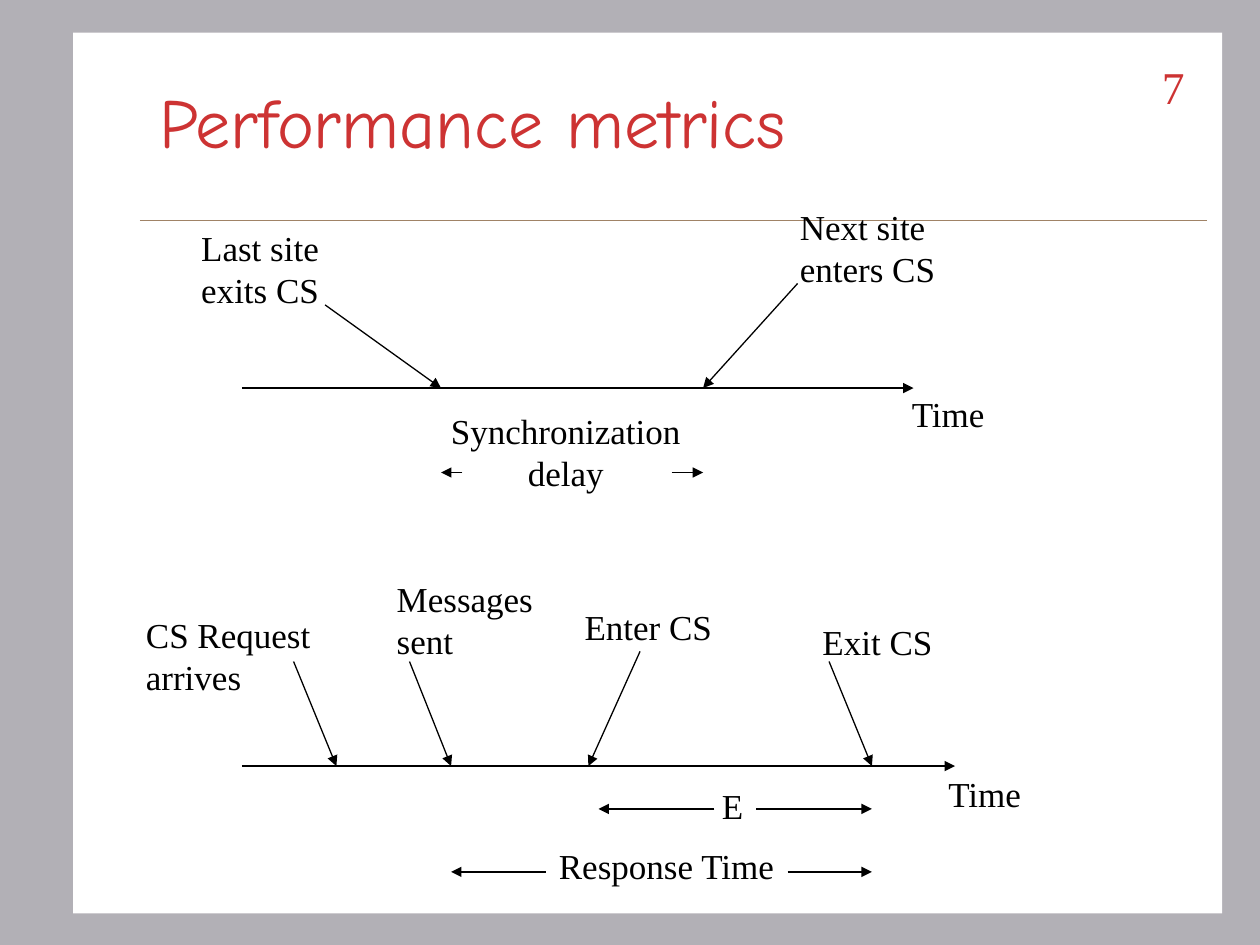
from lxml import etree
from pptx import Presentation
from pptx.dml.color import RGBColor
from pptx.enum.shapes import MSO_CONNECTOR, MSO_SHAPE
from pptx.enum.text import MSO_ANCHOR, MSO_AUTO_SIZE, PP_ALIGN
from pptx.oxml.ns import qn
from pptx.util import Inches, Pt

LEFT, CENTER, RIGHT = PP_ALIGN.LEFT, PP_ALIGN.CENTER, PP_ALIGN.RIGHT
TOP, MIDDLE = MSO_ANCHOR.TOP, MSO_ANCHOR.MIDDLE
FIT, NO_FIT = MSO_AUTO_SIZE.SHAPE_TO_FIT_TEXT, MSO_AUTO_SIZE.NONE
STRAIGHT = MSO_CONNECTOR.STRAIGHT
RECTANGLE = MSO_SHAPE.RECTANGLE

GREY = RGBColor(0xB2, 0xB0, 0xB6)
WHITE = RGBColor(0xFF, 0xFF, 0xFF)
BLACK = RGBColor(0, 0, 0)
RED = RGBColor(0xCD, 0x33, 0x33)
TAN = RGBColor(0xA0, 0x83, 0x66)

SERIF = "Times New Roman"
HAND = "Comic Neue"


def add_text(s, text, box, size=20, font=SERIF, color=BLACK, align=CENTER,
             anchor=MIDDLE, wrap=False, fit=FIT, before=0):
    tf = s.shapes.add_textbox(*map(Inches, box)).text_frame
    tf.word_wrap = wrap
    tf.auto_size = fit
    tf.vertical_anchor = anchor
    tf.margin_left = Inches(0.08 if align == CENTER else 0.1)
    tf.margin_right = Inches(0.1 if align == RIGHT else 0.08)
    for i, line in enumerate(text.split("\n")):
        p = tf.add_paragraph() if i else tf.paragraphs[0]
        p.alignment = align
        p.space_before = Pt(before)
        r = p.add_run()
        r.text = line
        r.font.size = Pt(size)
        r.font.name = font
        r.font.color.rgb = color


def add_line(s, start, end, color=BLACK, width=0.75, arrow=True):
    sp = s.shapes.add_connector(STRAIGHT, *map(Inches, (*start, *end)))
    sp.line.color.rgb = color
    sp.line.width = Pt(width)
    if arrow:
        etree.SubElement(sp.line._get_or_add_ln(), qn("a:tailEnd"), type="triangle")
    etree.SubElement(sp._element.spPr, qn("a:effectLst"))


def add_frame(s, box):
    x, y, w, h = box
    s.background.fill.solid()
    s.background.fill.fore_color.rgb = GREY
    sp = s.shapes.add_shape(RECTANGLE, *map(Inches, box))
    sp.shadow.inherit = False
    sp.fill.solid()
    sp.fill.fore_color.rgb = WHITE
    sp.line.fill.background()
    rule = y + 1.49
    add_line(s, (x + 0.53, rule), (x + w - 0.12, rule), TAN, 0.25, arrow=False)


def add_header(s, box, title, number):
    x, y, w, h = box
    add_text(s, title, box, size=40, font=HAND, color=RED, align=LEFT,
             wrap=True, fit=NO_FIT)
    add_text(s, number, (x + w - 1, y + 0.09, 0.83, 0.5), size=26, color=RED,
             align=RIGHT, anchor=TOP, wrap=True, fit=NO_FIT, before=16.2)


def add_timeline(s, box, axis, time_label, events, spans):
    x, y, w, h = box
    start, end, level = axis
    add_line(s, (x + start, y + level), (x + end, y + level))
    left, top = time_label
    add_text(s, "Time", (x + left, y + top, 0.79, 0.44))
    for text, (left, top, width, height), align, (px, py), moment in events:
        add_text(s, text, (x + left, y + top, width, height), align=align)
        add_line(s, (x + px, y + py), (x + moment, y + level))
    for text, (left, top, width, height), row, ends, gap in spans:
        add_text(s, text, (x + left, y + top, width, height))
        for inner, outer in zip(gap, ends):
            add_line(s, (x + inner, y + row), (x + outer, y + row))


def main():
    prs = Presentation()
    prs.slide_width, prs.slide_height = Inches(10), Inches(7.5)
    s = prs.slides.add_slide(prs.slide_layouts[6])

    add_frame(s, (0.58, 0.26, 9.12, 6.99))
    add_header(s, (1.17, 0.33, 8.5, 1.25), "Performance metrics", "7")

    last_exit, next_entry = 2, 4.08
    add_timeline(
        s, (1.5, 1.58, 6.42, 2.39), (0.42, 5.75, 1.5), (5.63, 1.48),
        [("Last site\nexits CS", (0, 0.17, 1.13, 0.77), CENTER, (1.08, 0.84), last_exit),
         ("Next site\nenters CS", (4.75, 0, 1.27, 0.77), LEFT, (4.83, 0.67), next_entry)],
        [("Synchronization\ndelay", (1.98, 1.62, 2.02, 0.77), 2.17,
          (last_exit, next_entry), (2.17, 3.83))])

    request, sent, entry, leave = 1.61, 2.52, 3.61, 5.86
    add_timeline(
        s, (1.06, 4.53, 7.15, 2.56), (0.86, 6.52, 1.55), (6.36, 1.55),
        [("CS Request\narrives", (0, 0.29, 1.5, 0.77), LEFT, (1.27, 0.72), request),
         ("Messages\nsent", (1.99, 0, 1.28, 0.77), LEFT, (2.19, 0.72), sent),
         ("Enter CS", (3.48, 0.22, 1.21, 0.44), CENTER, (4.02, 0.64), entry),
         ("Exit CS", (5.37, 0.34, 1.07, 0.44), CENTER, (5.52, 0.72), leave)],
        [("E", (4.57, 1.64, 0.37, 0.44), 1.89, (entry + 0.08, leave), (4.61, 4.94)),
         ("Response Time", (3.27, 2.12, 1.92, 0.44), 2.39, (sent, leave), (3.27, 5.19))])

    prs.save("out.pptx")


if __name__ == "__main__":
    main()
